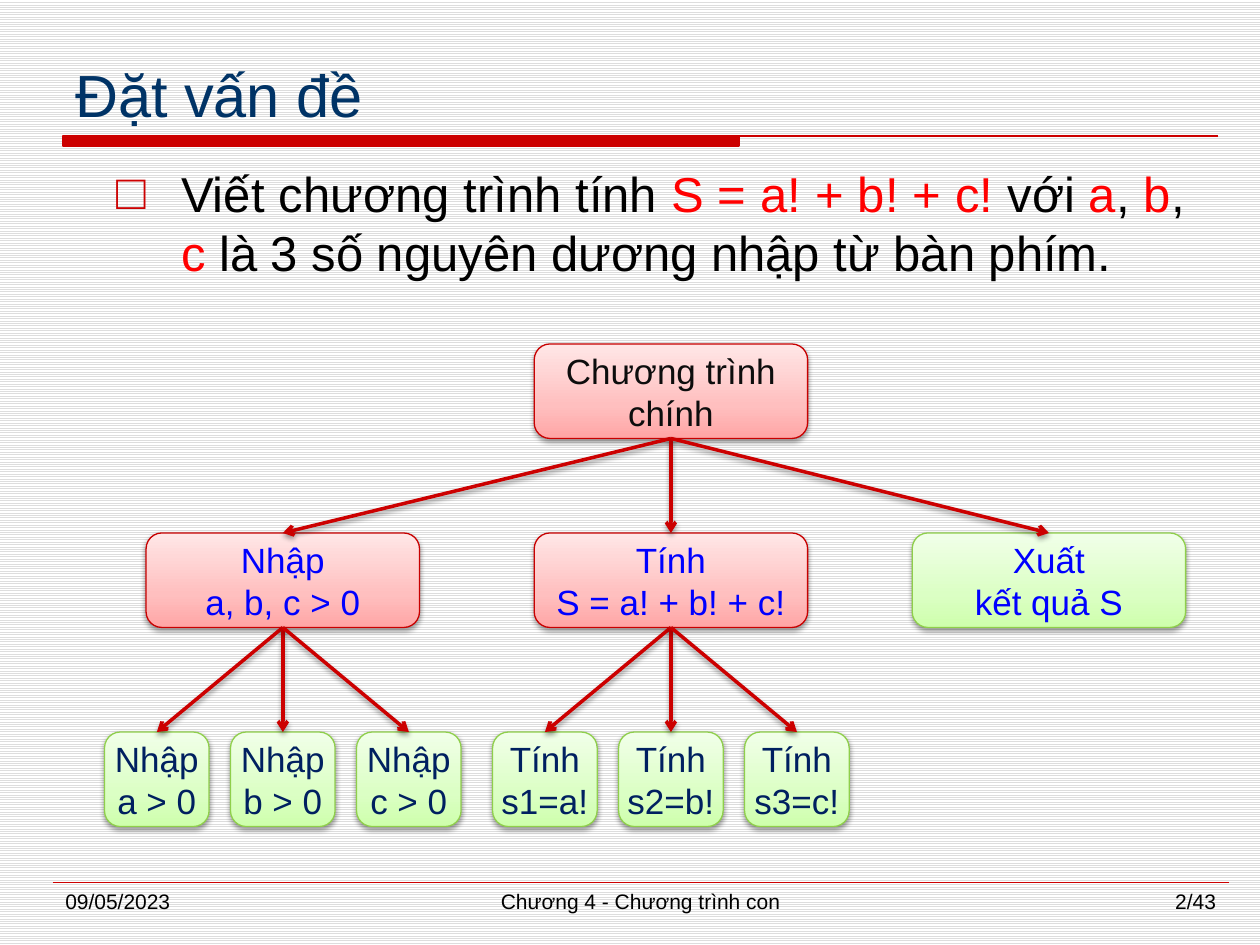
import pptx
import pptx.dml.color
import pptx.enum.dml
import pptx.enum.shapes
import pptx.enum.text
import pptx.oxml.ns
import pptx.util
from lxml import etree

Inches, Pt = pptx.util.Inches, pptx.util.Pt
RGBColor = pptx.dml.color.RGBColor
ALIGN, ANCHOR = pptx.enum.text.PP_ALIGN, pptx.enum.text.MSO_ANCHOR
qn = pptx.oxml.ns.qn

BLACK = RGBColor(0x00, 0x00, 0x00)
WHITE = RGBColor(0xFF, 0xFF, 0xFF)
STRIPE = RGBColor(0xDD, 0xDD, 0xDD)
CRIMSON = RGBColor(0xCC, 0x00, 0x00)
RED = RGBColor(0xFF, 0x00, 0x00)
NAVY = RGBColor(0x00, 0x33, 0x66)
INK = RGBColor(0x0D, 0x0D, 0x0D)
BLUE = RGBColor(0x00, 0x00, 0xFF)
DARK_BLUE = RGBColor(0x00, 0x20, 0x60)
PINK_EDGE = RGBColor(0xC8, 0x00, 0x00)
GREEN_EDGE = RGBColor(0x8F, 0xCF, 0x4B)

# Box themes: edge colour and gradient stops (percent, colour)
PINK = (PINK_EDGE, ((0, RGBColor(0xFF, 0xA5, 0xA5)), (35, RGBColor(0xFF, 0xBF, 0xBF)),
                    (100, RGBColor(0xFF, 0xE7, 0xE7))))
GREEN = (GREEN_EDGE, ((0, RGBColor(0xCE, 0xFF, 0xAC)), (35, RGBColor(0xDB, 0xFF, 0xC4)),
                      (100, RGBColor(0xF1, 0xFF, 0xE9))))


def add_xml(parent, tag, **attrs):
    return etree.SubElement(parent, qn(tag), {k: str(v) for k, v in attrs.items()})


class SlideBuilder:
    font_name = "Arial"

    def __init__(self, s):
        self.s = s

    def background(self):
        fill = self.s.background.fill
        fill.patterned()
        fill.pattern = pptx.enum.dml.MSO_PATTERN.LIGHT_HORIZONTAL
        fill.fore_color.rgb = STRIPE
        fill.back_color.rgb = WHITE

    def run(self, p, text, size, color):
        r = p.add_run()
        r.text = text
        for name, value in {"name": self.font_name, "size": Pt(size)}.items():
            setattr(r.font, name, value)
        r.font.color.rgb = color

    def text(self, x, y, w, h, runs, size, align=ALIGN.LEFT, anchor=ANCHOR.TOP):
        tf = self.s.shapes.add_textbox(Inches(x), Inches(y), Inches(w), Inches(h)).text_frame
        for name, value in {"word_wrap": True, "vertical_anchor": anchor}.items():
            setattr(tf, name, value)
        p = tf.paragraphs[0]
        p.alignment = align
        for text, color in runs:
            self.run(p, text, size, color)
        return p

    def bullet(self, p, char, color, indent):
        pPr = p._p.get_or_add_pPr()
        pPr.set("marL", str(Inches(indent)))
        pPr.set("indent", str(-Inches(indent)))
        add_xml(add_xml(pPr, "a:buClr"), "a:srgbClr", val=color)
        add_xml(pPr, "a:buFont", typeface=self.font_name)
        add_xml(pPr, "a:buChar", char=char)

    def shadow(self, effects):
        shadow = add_xml(effects, "a:outerShdw", blurRad=Pt(3.1), dist=Pt(1.6),
                         dir=90 * 60000, rotWithShape=0)
        add_xml(add_xml(shadow, "a:srgbClr", val=BLACK), "a:alpha", val=38000)

    def box(self, x, y, w, lines, theme, color):
        edge, stops = theme
        sp = self.s.shapes.add_shape(pptx.enum.shapes.MSO_SHAPE.ROUNDED_RECTANGLE,
                                     Inches(x), Inches(y), Inches(w), Inches(0.75))
        sp.fill.gradient()
        sp.fill.gradient_angle = 90
        gs_list = sp._element.spPr.find(".//" + qn("a:gsLst"))
        gs_list.clear()
        for pos, stop in stops:
            add_xml(add_xml(gs_list, "a:gs", pos=pos * 1000), "a:srgbClr", val=stop)
        sp.line.color.rgb = edge
        sp.line.width = Pt(0.75)
        sp.shadow.inherit = False
        self.shadow(sp._element.spPr.find(qn("a:effectLst")))
        tf = sp.text_frame
        for name, value in {"word_wrap": False, "vertical_anchor": ANCHOR.MIDDLE}.items():
            setattr(tf, name, value)
        for i, line in enumerate(lines):
            p = tf.add_paragraph() if i else tf.paragraphs[0]
            p.alignment = ALIGN.CENTER
            self.run(p, line, 20, color)
        return sp

    def line(self, x1, y1, x2, y2, width):
        cn = self.s.shapes.add_connector(pptx.enum.shapes.MSO_CONNECTOR.STRAIGHT,
                                         Inches(x1), Inches(y1), Inches(x2), Inches(y2))
        cn.line.color.rgb = CRIMSON
        cn.line.width = Pt(width)
        return cn, add_xml(cn._element.spPr, "a:effectLst")

    def arrow(self, parent, child):
        cn, effects = self.line(0, 0, 1, 1, 2)
        cn.begin_connect(parent, 2)
        cn.end_connect(child, 0)
        add_xml(cn.line._get_or_add_ln(), "a:tailEnd", type="arrow")
        self.shadow(effects)

    def title_rule(self, left, top, bar_right, right, bottom):
        l, t, m, r, b = (Inches(v) for v in (left, top, bar_right, right, bottom))
        fb = self.s.shapes.build_freeform(l, t)
        fb.add_line_segments([(m, t), (m, b), (l, b)], close=True)
        fb.move_to(l, t)
        fb.add_line_segments([(r, t)], close=False)
        sp = fb.convert_to_shape()
        sp.fill.solid()
        sp.fill.fore_color.rgb = CRIMSON
        sp.line.color.rgb = CRIMSON
        sp.line.width = Pt(1.5)
        sp.shadow.inherit = False


def main():
    prs = pptx.Presentation()
    prs.slide_width, prs.slide_height = Inches(10), Inches(7.5)
    b = SlideBuilder(prs.slides.add_slide(prs.slide_layouts[6]))
    b.background()

    # Rules
    b.title_rule(0.5, 1.08, 5.86, 9.67, 1.16)
    b.line(0.42, 7, 9.75, 7, 0.25)

    # Title and task
    b.text(0.5, 0.33, 9.17, 0.75, [("Đặt vấn đề", NAVY)], 34, anchor=ANCHOR.BOTTOM)
    task = [("Viết chương trình tính ", BLACK), ("S = a! + b! + c! ", RED), ("với ", BLACK),
            ("a", RED), (", ", BLACK), ("b", RED), (", ", BLACK), ("c", RED),
            (" là 3 số nguyên dương nhập từ bàn phím.", BLACK)]
    p = b.text(0.83, 1.25, 8.67, 5.67, task, 28, ALIGN.JUSTIFY)
    b.bullet(p, "□", CRIMSON, 0.51)

    # Tree: root, branches, then leaves centred under each branch
    wide, narrow, step = 2.17, 0.83, 1
    root = b.box(4.24, 2.73, wide, ("Chương trình", "chính"), PINK, INK)
    branches = [
        (1.16, ("Nhập", "a, b, c > 0"), PINK,
         [("Nhập", "a > 0"), ("Nhập", "b > 0"), ("Nhập", "c > 0")]),
        (4.24, ("Tính", "S = a! + b! + c!"), PINK,
         [("Tính", "s1=a!"), ("Tính", "s2=b!"), ("Tính", "s3=c!")]),
        (7.24, ("Xuất", "kết quả S"), GREEN, []),
    ]
    links = []
    for x, lines, theme, leaves in branches:
        branch = b.box(x, 4.23, wide, lines, theme, BLUE)
        links.append((root, branch))
        first = x + (wide - narrow) / 2 - step
        for i, leaf in enumerate(leaves):
            links.append((branch, b.box(first + i * step, 5.81, narrow, leaf, GREEN, DARK_BLUE)))
    for parent, child in links:
        b.arrow(parent, child)

    # Footer
    for x, w, text, align in ((0.42, 2.17, "09/05/2023", ALIGN.LEFT),
                              (2.92, 4.33, "Chương 4 - Chương trình con", ALIGN.CENTER),
                              (7.58, 2.17, "2/43", ALIGN.RIGHT)):
        b.text(x, 7, w, 0.35, [(text, BLACK)], 12, align)

    prs.save("out.pptx")


if __name__ == "__main__":
    main()
